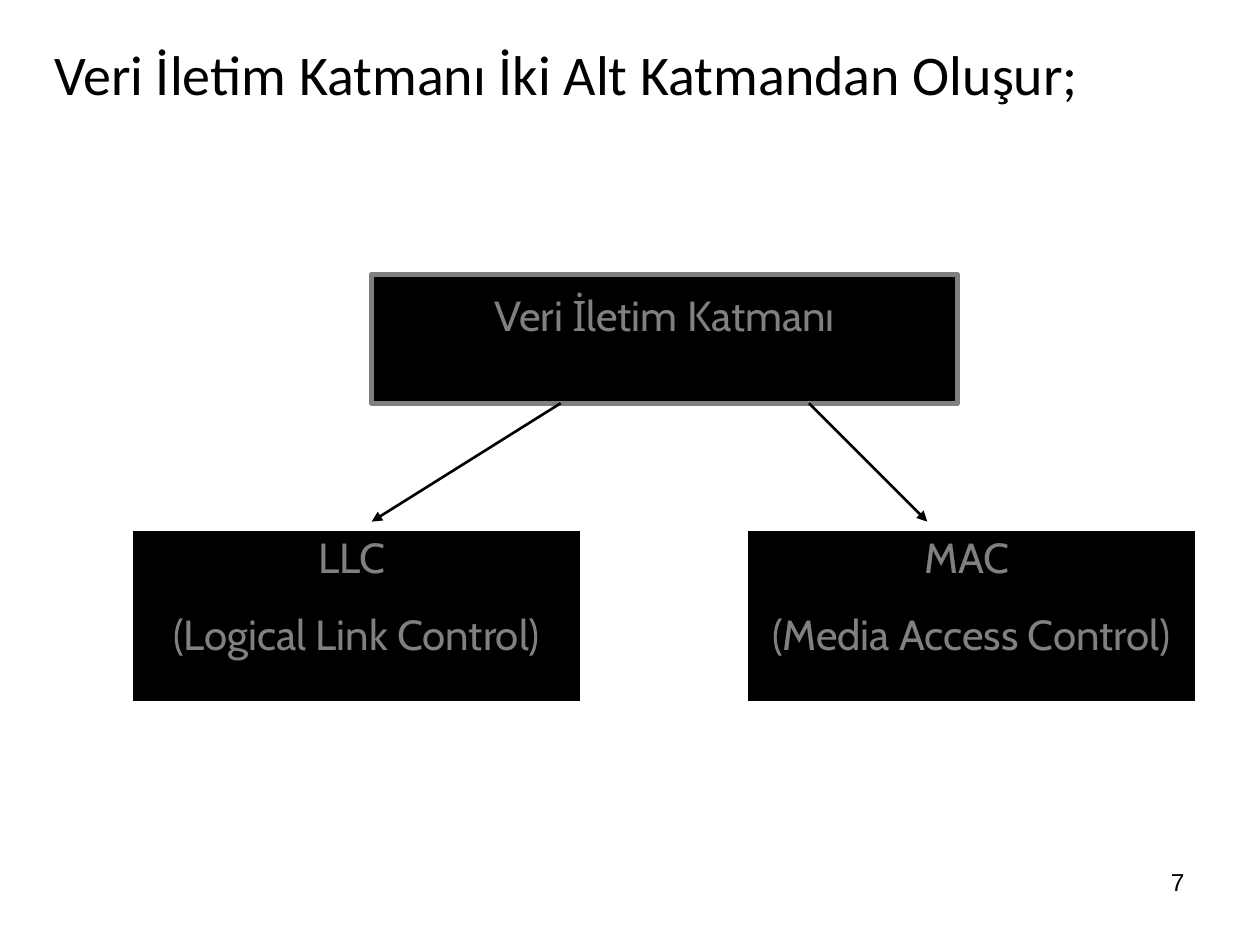
import pptx
import pptx.util
import pptx.dml.color
import pptx.enum.shapes
import pptx.enum.text
import pptx.oxml.ns
import lxml.etree

Inches = pptx.util.Inches
Pt = pptx.util.Pt
ALIGN = pptx.enum.text.PP_ALIGN
ANCHOR = pptx.enum.text.MSO_ANCHOR
BLACK, GREY = "000000", "808080"


def colour(value):
    return pptx.dml.color.RGBColor.from_string(value)


def place(part, box):
    part.left, part.top, part.width, part.height = map(Inches, box)


def write(frame, lines, font, size, text_colour, align, gap=0):
    for index, line in enumerate(lines):
        paragraph = frame.paragraphs[0] if index == 0 else frame.add_paragraph()
        paragraph.alignment = align
        paragraph.space_before = Pt(gap if index else 0)
        run = paragraph.add_run()
        run.text = line
        run.font.name = font
        run.font.size = Pt(size)
        run.font.color.rgb = colour(text_colour)


def add_title(slide, box, text):
    title = slide.shapes.title
    place(title, box)
    frame = title.text_frame
    frame.word_wrap = True
    frame.auto_size = pptx.enum.text.MSO_AUTO_SIZE.NONE
    frame.vertical_anchor = ANCHOR.MIDDLE
    write(frame, [text], "Calibri", 32, BLACK, ALIGN.LEFT)


def add_layer(slide, box, lines, line_colour, line_width, top_inset):
    layer = slide.shapes.add_shape(
        pptx.enum.shapes.MSO_SHAPE.RECTANGLE, *map(Inches, box))
    layer.shadow.inherit = False
    layer.fill.solid()
    layer.fill.fore_color.rgb = colour(BLACK)
    layer.line.color.rgb = colour(line_colour)
    layer.line.width = Pt(line_width)
    frame = layer.text_frame
    frame.word_wrap = False
    frame.vertical_anchor = ANCHOR.TOP
    frame.margin_top = Inches(top_inset)
    write(frame, lines, "Cabin", 24, GREY, ALIGN.CENTER, gap=15)


def add_arrow(slide, start, end):
    arrow = slide.shapes.add_connector(
        pptx.enum.shapes.MSO_CONNECTOR.STRAIGHT, *map(Inches, start + end))
    arrow.line.color.rgb = colour(BLACK)
    arrow.line.width = Pt(1.5)
    qn = pptx.oxml.ns.qn
    lxml.etree.SubElement(arrow.line._get_or_add_ln(), qn("a:tailEnd"), type="triangle")
    lxml.etree.SubElement(arrow._element.spPr, qn("a:effectLst"))


def add_layer_tree(slide, box):
    left, top, width, height = box
    parent_height, child_width, child_height = 1.02, 3.54, 1.34
    parent_bottom = top + parent_height
    child_top = top + height - child_height
    arrow_end = child_top - 0.08

    # Parent layer
    add_layer(slide, (left + 1.89, top, 4.65, parent_height),
              ["Veri İletim Katmanı"], GREY, 3, 0.12)

    # Sublayers at the two ends of the box
    children = [
        (left, ["LLC ", "(Logical Link Control)"]),
        (left + width - child_width, ["MAC ", "(Media Access Control)"]),
    ]
    for child_left, lines in children:
        add_layer(slide, (child_left, child_top, child_width, child_height),
                  lines, BLACK, 0.75, 0)

    # Arrows from parent to sublayers
    for start_x, end_x in [(3.39, 1.89), (5.36, 6.3)]:
        add_arrow(slide, (left + start_x, parent_bottom), (left + end_x, arrow_end))


def add_page_number(slide, box, number):
    page_number = slide.shapes.add_textbox(*map(Inches, box))
    page_number.text_frame.word_wrap = True
    write(page_number.text_frame, [number], "Arial", 14, BLACK, ALIGN.RIGHT)


def main():
    deck = pptx.Presentation()
    deck.slide_width, deck.slide_height = Inches(10), Inches(7.5)
    slide = deck.slides.add_slide(deck.slide_layouts[5])
    add_title(slide, (0.33, 0.25, 9.34, 0.66),
              "Veri İletim Katmanı İki Alt Katmandan Oluşur;")
    add_layer_tree(slide, (1.06, 2.18, 8.42, 3.38))
    add_page_number(slide, (7.17, 6.83, 2.33, 0.52), "7")
    deck.save("out.pptx")


if __name__ == "__main__":
    main()
